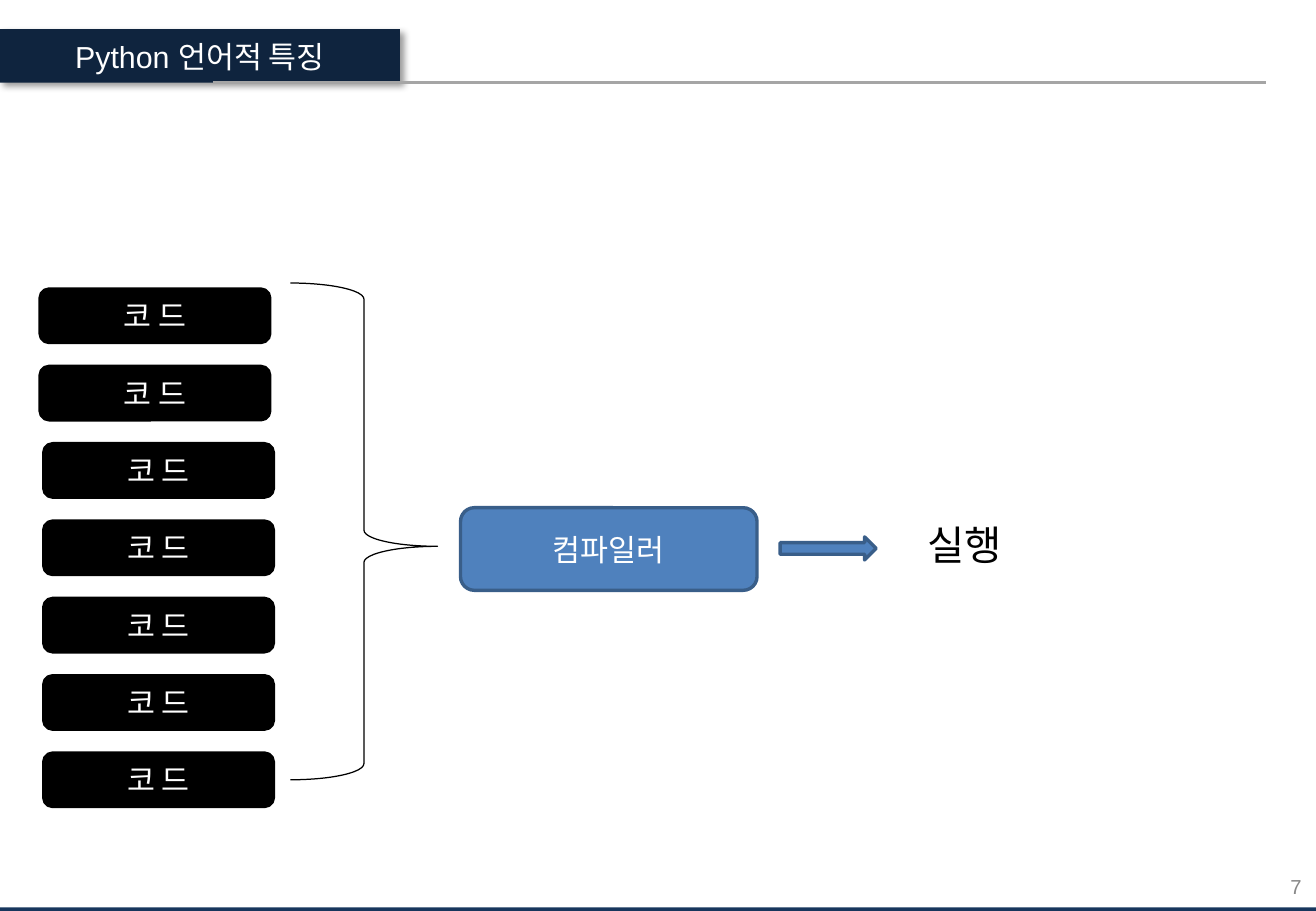
from dataclasses import dataclass

from pptx import Presentation
from pptx.dml.color import RGBColor
from pptx.enum.shapes import MSO_CONNECTOR, MSO_SHAPE
from pptx.enum.text import MSO_ANCHOR, MSO_AUTO_SIZE, PP_ALIGN
from pptx.oxml import parse_xml
from pptx.oxml.ns import nsdecls
from pptx.util import Inches, Pt


@dataclass(frozen=True)
class Theme:
    font: str = "Arial"
    navy: str = "0F243E"
    footer: str = "17365D"
    blue: str = "4F81BD"
    blue_edge: str = "395E89"
    rule: str = "A5A5A5"
    number: str = "888888"
    black: str = "000000"
    white: str = "FFFFFF"
    body_size: int = 18
    result_size: int = 24
    number_size: int = 12


THEME = Theme()
SLIDE_WIDTH, SLIDE_HEIGHT = 10.83, 7.5
CODE_COUNT = 7
CODE_TOP, CODE_LAST_TOP = 2.38, 6.2


def color(value):
    return RGBColor.from_string(value)


def write(shape, text, size=THEME.body_size, font_color=THEME.white,
          align=PP_ALIGN.CENTER, anchor=MSO_ANCHOR.MIDDLE):
    frame = shape.text_frame
    frame.text = text
    frame.word_wrap = True
    frame.auto_size = MSO_AUTO_SIZE.NONE
    frame.vertical_anchor = anchor
    para = frame.paragraphs[0]
    para.alignment = align
    font = para.runs[0].font
    font.name = THEME.font
    font.size = Pt(size)
    font.color.rgb = color(font_color)


def add_figure(page, kind, left, top, width, height, fill=None, line=None, weight=2):
    """Add a preset shape; a missing fill or line is left out of the drawing."""
    shape = page.shapes.add_shape(
        kind, Inches(left), Inches(top), Inches(width), Inches(height))
    shape.shadow.inherit = False
    if fill:
        shape.fill.solid()
        shape.fill.fore_color.rgb = color(fill)
    else:
        shape.fill.background()
    if line:
        shape.line.color.rgb = color(line)
        shape.line.width = Pt(weight)
    else:
        shape.line.fill.background()
    return shape


def add_label(page, text, left, top, width, height, **style):
    box = page.shapes.add_textbox(
        Inches(left), Inches(top), Inches(width), Inches(height))
    write(box, text, **style)


def format_title(page, text):
    title = page.shapes.title
    title.left, title.top = Inches(0), Inches(0.24)
    title.width, title.height = Inches(3.29), Inches(0.44)
    title.fill.solid()
    title.fill.fore_color.rgb = color(THEME.navy)
    write(title, text)
    title.element.spPr.append(parse_xml(
        f'<a:effectLst {nsdecls("a")}>'
        '<a:outerShdw blurRad="50800" dist="38100" dir="2700000" algn="tl" rotWithShape="0">'
        f'<a:srgbClr val="{THEME.black}"><a:alpha val="40000"/></a:srgbClr>'
        '</a:outerShdw></a:effectLst>'))


def add_title_rule(page):
    rule = page.shapes.add_connector(
        MSO_CONNECTOR.STRAIGHT, Inches(1.75), Inches(0.68), Inches(10.42), Inches(0.68))
    rule.line.color.rgb = color(THEME.rule)
    rule.line.width = Pt(1.5)
    rule.element.spPr.append(parse_xml(f'<a:effectLst {nsdecls("a")}/>'))


def add_code_stack(page):
    pitch = (CODE_LAST_TOP - CODE_TOP) / (CODE_COUNT - 1)
    for index in range(CODE_COUNT):
        left = 0.33 if index < 2 else 0.36
        code = add_figure(page, MSO_SHAPE.ROUNDED_RECTANGLE, left, CODE_TOP + index * pitch,
                          1.89, 0.44, THEME.black, THEME.black)
        write(code, "코 드")


def add_compile_flow(page):
    brace = add_figure(page, MSO_SHAPE.RIGHT_BRACE, 2.39, 2.33, 1.21, 4.09,
                       line=THEME.black, weight=0.75)
    brace.adjustments[0] = 0.11
    brace.adjustments[1] = 0.53
    compiler = add_figure(page, MSO_SHAPE.ROUNDED_RECTANGLE, 3.79, 4.18, 2.44, 0.68,
                          THEME.blue, THEME.blue_edge)
    write(compiler, "컴파일러")
    add_figure(page, MSO_SHAPE.RIGHT_ARROW, 6.42, 4.42, 0.79, 0.19,
               THEME.blue, THEME.blue_edge)
    add_label(page, "실행", 6.99, 4.23, 1.89, 0.5, size=THEME.result_size,
              font_color=THEME.black, anchor=MSO_ANCHOR.TOP)


def main():
    deck = Presentation()
    deck.slide_width, deck.slide_height = Inches(SLIDE_WIDTH), Inches(SLIDE_HEIGHT)
    page = deck.slides.add_slide(deck.slide_layouts[5])
    format_title(page, "Python 언어적 특징")
    add_figure(page, MSO_SHAPE.RECTANGLE, 0, 7.47, SLIDE_WIDTH, 0.03, THEME.footer)
    add_label(page, "7", 8.28, 7.1, 2.53, 0.4, size=THEME.number_size,
              font_color=THEME.number, align=PP_ALIGN.RIGHT)
    add_title_rule(page)
    add_code_stack(page)
    add_compile_flow(page)
    deck.save("out.pptx")


if __name__ == "__main__":
    main()
